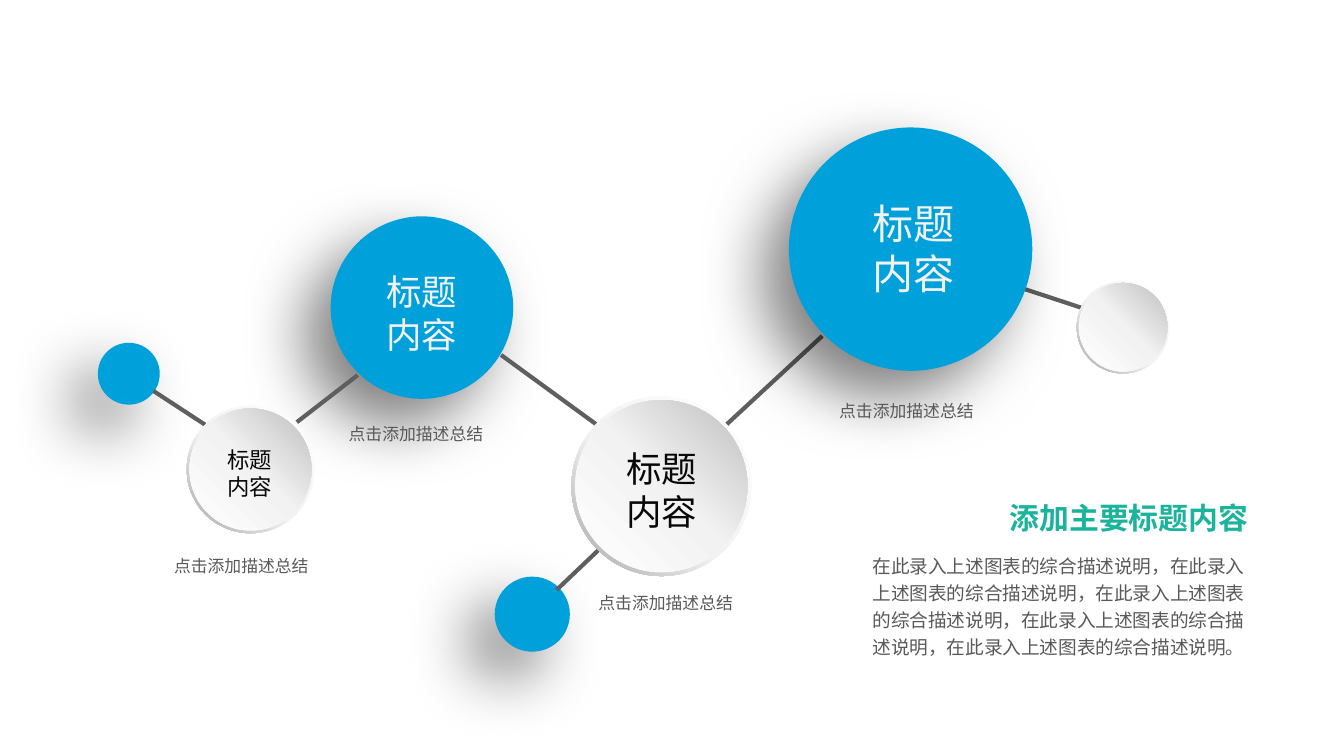
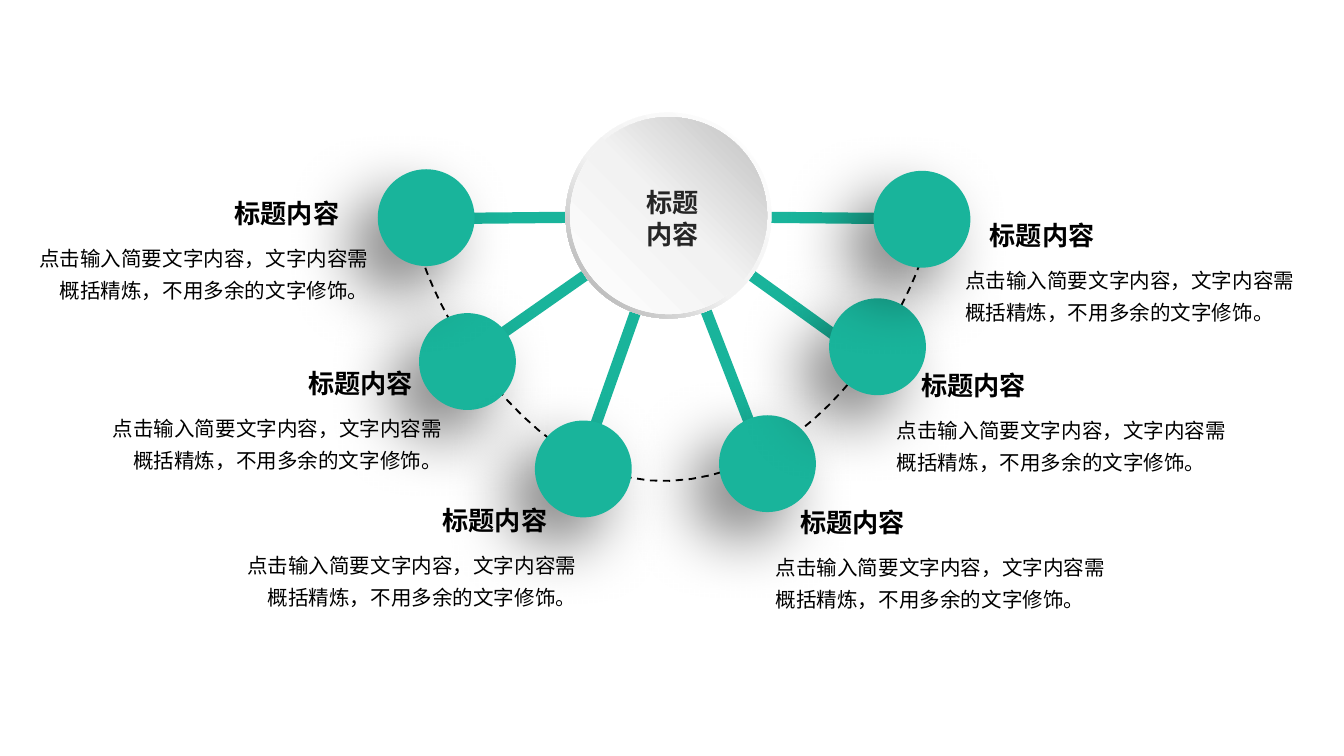
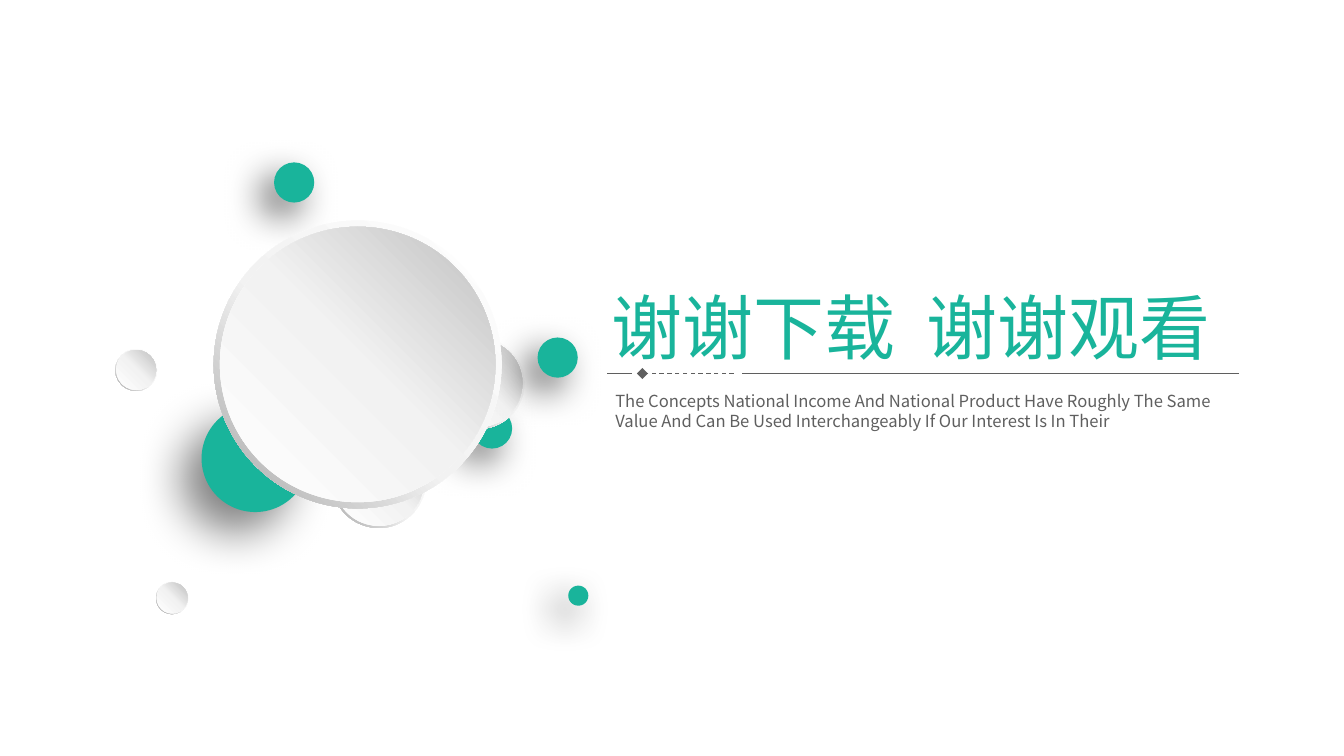
from copy import deepcopy

from lxml.etree import SubElement
from pptx import Presentation
from pptx.dml.color import RGBColor
from pptx.enum.dml import MSO_LINE_DASH_STYLE as DASH
from pptx.enum.shapes import MSO_CONNECTOR as CONNECTOR, MSO_SHAPE as SHAPE
from pptx.enum.text import MSO_ANCHOR as ANCHOR, MSO_AUTO_SIZE as AUTO_SIZE, PP_ALIGN as ALIGN
from pptx.oxml.ns import qn
from pptx.util import Cm, Pt

BLUE = RGBColor(0x00, 0xA1, 0xDA)
TEAL = RGBColor(0x19, 0xB4, 0x9B)
GRAY = RGBColor(0x5F, 0x5F, 0x5F)
BODY_GRAY = RGBColor(0x59, 0x59, 0x59)
DARK = RGBColor(0x26, 0x26, 0x26)
INK = RGBColor(0x08, 0x08, 0x08)
BLACK = RGBColor(0x00, 0x00, 0x00)
WHITE = RGBColor(0xFF, 0xFF, 0xFF)
PALE = RGBColor(0xF2, 0xF2, 0xF2)
SILVER = RGBColor(0xBF, 0xBF, 0xBF)
STEEL = RGBColor(0xA6, 0xA6, 0xA6)
FONT = "Noto Sans CJK SC"
DEEP_SHADOW = (50, 35, 20)
MEDIUM_SHADOW = (50, 25, 15)
LIGHT_SHADOW = (60, 20, 10)
RIM = 0.049


def add_text(slide, text, left, top, width, height, size, color, bold=False,
             align=ALIGN.LEFT, spacing=None, insets=(0.25, 0.13), wrap=True, box=None):
    if box is None:
        box = slide.shapes.add_textbox(0, 0, 0, 0)
    box.left, box.top, box.width, box.height = Cm(left), Cm(top), Cm(width), Cm(height)
    frame = box.text_frame
    frame.word_wrap = wrap
    frame.auto_size = AUTO_SIZE.SHAPE_TO_FIT_TEXT
    frame.vertical_anchor = ANCHOR.TOP
    frame.margin_left = frame.margin_right = Cm(insets[0])
    frame.margin_top = frame.margin_bottom = Cm(insets[1])
    frame.text = text
    for paragraph in frame.paragraphs:
        paragraph.alignment = align
        paragraph.line_spacing = spacing
        for run in paragraph.runs:
            run.font.size = Pt(size)
            run.font.bold = bold
            run.font.color.rgb = color
            run.font.name = FONT
            SubElement(run._r.get_or_add_rPr(), qn("a:ea")).set("typeface", FONT)


def add_disc(slide, left, top, size, color=None, shadow=None):
    if color is not None:
        disc = slide.shapes.add_shape(SHAPE.OVAL, Cm(left), Cm(top), Cm(size), Cm(size))
        disc.fill.solid()
        disc.fill.fore_color.rgb = color
        disc.line.fill.background()
        disc.shadow.inherit = False
        opacity, blur, distance = shadow
        effects = disc._element.spPr.find(qn("a:effectLst"))
        outer = SubElement(effects, qn("a:outerShdw"), blurRad=str(Pt(blur)),
                           dist=str(Pt(distance)), dir=str(135 * 60000), rotWithShape="0")
        shade = SubElement(outer, qn("a:srgbClr"), val="000000")
        SubElement(shade, qn("a:alpha"), val=str(opacity * 1000))
        return
    inset = size * 0.0215
    for preset, margin, angle, middle, end in (
        (SHAPE.DONUT, 0, 225, 0.55, STEEL),
        (SHAPE.OVAL, inset, 45, 0.51, SILVER),
    ):
        side = Cm(size - 2 * margin)
        layer = slide.shapes.add_shape(preset, Cm(left + margin), Cm(top + margin), side, side)
        if preset == SHAPE.DONUT:
            layer.adjustments[0] = RIM
        layer.line.fill.background()
        layer.shadow.inherit = False
        layer.fill.gradient()
        layer.fill.gradient_angle = angle
        stops = layer._element.spPr.find(".//" + qn("a:gsLst"))
        stops.append(deepcopy(stops[0]))
        for stop, position, tone in zip(layer.fill.gradient_stops, (0, middle, 1), (WHITE, PALE, end)):
            stop.position = position
            stop.color.rgb = tone


presentation = Presentation()
presentation.slide_width = Cm(25.4)
presentation.slide_height = Cm(14.29)
title_only, blank = presentation.slide_layouts[5], presentation.slide_layouts[6]
chain_slide = presentation.slides.add_slide(title_only)
fan_slide = presentation.slides.add_slide(blank)
closing_slide = presentation.slides.add_slide(title_only)

ARC_START = (8, 4.11)
ARC_CURVES = [
    ((8.74, 4.14), (16.71, 4.01), (17.53, 4.24)),
    ((17.68, 4.85), (15.88, 8.97), (12.67, 9.09)),
    ((9.47, 9.25), (7.29, 4.09), ARC_START),
]
STEPS = 24
arc_points = []
start = ARC_START
for first, second, end in ARC_CURVES:
    for step in range(1, STEPS + 1):
        t = step / STEPS
        weights = ((1 - t) ** 3, 3 * t * (1 - t) ** 2, 3 * t * t * (1 - t), t ** 3)
        corners = (start, first, second, end)
        arc_points.append(tuple(
            Cm(sum(weight * corner[axis] for weight, corner in zip(weights, corners)))
            for axis in (0, 1)
        ))
    start = end
builder = fan_slide.shapes.build_freeform(Cm(ARC_START[0]), Cm(ARC_START[1]))
builder.add_line_segments(arc_points, close=True)
arc = builder.convert_to_shape()
arc.fill.background()
arc.line.color.rgb = BLACK
arc.line.width = Pt(1)
arc.line.dash_style = DASH.DASH
arc.shadow.inherit = False

HUB = (12.65, 4.09)
SPOKE_ENDS = [(7.34, 4.14), (8.48, 7.01), (10.9, 9.04), (14.5, 8.86), (16.71, 7.01), (17.81, 4.14)]
RULE_Y = 7.06
back_links = [((19.2, 5.41), (20.75, 5.92)), ((13.67, 8.08), (15.54, 6.35))]
front_links = [
    ((5.61, 7.98), (6.76, 7.09)),
    ((9.47, 6.71), (11.35, 8.08)),
    ((2.9, 7.39), (3.91, 8.05)),
    ((10.52, 11.15), (11.35, 10.36)),
]
spokes = [(HUB, spoke_end) for spoke_end in SPOKE_ENDS]
rules = [((x1, RULE_Y), (x2, RULE_Y)) for x1, x2 in ((23.42, 14.02), (13.87, 12.14), (11.94, 11.48))]
chain_discs = [
    (14.91, 2.41, 4.6, BLUE, DEEP_SHADOW),
    (9.35, 10.9, 1.42, BLUE, DEEP_SHADOW),
    (6.25, 4.09, 3.45, BLUE, DEEP_SHADOW),
    (1.85, 6.48, 1.17, BLUE, DEEP_SHADOW),
]
chain_buttons = [(20.35, 5.31, 1.75), (10.8, 7.49, 3.4), (3.53, 7.67, 2.41)]
fan_discs = [
    (left, top, 1.83, TEAL, DEEP_SHADOW)
    for left, top in ((7.92, 5.92), (10.11, 7.95), (13.59, 7.85), (15.67, 5.64), (16.51, 3.23), (7.14, 3.2))
] + [(10.69, 2.13, 3.89)]
closing_discs = [
    (3.81, 7.65, 2.03, TEAL, MEDIUM_SHADOW),
    (8.92, 7.72, 0.76, TEAL, LIGHT_SHADOW),
    (8.18, 6.38, 1.73),
    (2.95, 11, 0.61),
    (2.18, 6.6, 0.79),
    (10.16, 6.38, 0.76, TEAL, LIGHT_SHADOW),
    (10.74, 11.07, 0.38, TEAL, LIGHT_SHADOW),
    (6.27, 8.2, 1.78),
    (5.18, 3.07, 0.76, TEAL, LIGHT_SHADOW),
    (4.04, 4.17, 5.44),
]

for slide, links, color, width, discs in (
    (chain_slide, back_links, GRAY, 2.25, chain_discs),
    (chain_slide, front_links, GRAY, 2.25, chain_buttons),
    (fan_slide, spokes, TEAL, 6, fan_discs),
    (closing_slide, rules, GRAY, 0.6, closing_discs),
):
    for (x1, y1), (x2, y2) in links:
        link = slide.shapes.add_connector(CONNECTOR.STRAIGHT, Cm(x1), Cm(y1), Cm(x2), Cm(y2))
        link.line.color.rgb = color
        link.line.width = Pt(width)
        if links is rules and (x1, y1) == rules[1][0]:
            link.line.dash_style = DASH.DASH
            SubElement(link.line._get_or_add_ln(), qn("a:tailEnd"), type="diamond")
        SubElement(link._element.spPr, qn("a:effectLst"))
    for disc in discs:
        add_disc(slide, *disc)

for left, top, width, height, size, color in (
    (16.23, 3.63, 2.08, 2.13, 22, PALE),
    (11.58, 8.33, 1.85, 1.88, 19, INK),
    (7.04, 4.98, 1.85, 1.88, 19, PALE),
    (4.04, 8.31, 1.37, 1.27, 12, INK),
):
    add_text(chain_slide, "标题\n内容", left, top, width, height, size, color,
             align=ALIGN.CENTER, wrap=False)
for left, top in ((2.67, 10.31), (5.97, 7.82), (10.69, 11), (15.24, 7.37)):
    add_text(chain_slide, "点击添加描述总结", left, top, 3.78, 0.71, 9, BODY_GRAY,
             align=ALIGN.CENTER, spacing=Pt(13.6), insets=(0.2, 0.1))
add_text(chain_slide, "添加主要标题内容", 17.37, 9.32, 6.45, 0.91, 16, TEAL, bold=True,
         align=ALIGN.RIGHT, insets=(0.23, 0.13), box=chain_slide.shapes.title)
summary = "，".join(["在此录入上述图表的综合描述说明"] * 5) + "。"
add_text(chain_slide, summary, 16.31, 10.31, 7.62, 2.24, 10, BODY_GRAY,
         spacing=1.2, insets=(0.18, 0.1))

for align, body_shift, headings in (
    (ALIGN.RIGHT, -4.06, ((4.17, 3.61), (5.56, 6.81), (8.1, 9.4))),
    (ALIGN.LEFT, -0.45, ((14.86, 9.45), (17.15, 6.86), (18.44, 4.01))),
):
    for left, top in headings:
        add_text(fan_slide, "标题内容", left, top, 2.51, 0.86, 14, BLACK, bold=True,
                 align=ALIGN.CENTER, wrap=False)
        add_text(fan_slide, "点击输入简要文字内容，文字内容需概括精炼，不用多余的文字修饰。",
                 left + body_shift, top + 0.78, 7.11, 1.47, 11, BLACK, align=align, spacing=1.3)
add_text(fan_slide, "标题\n内容", 11.96, 3.4, 1.5, 1.45, 14, DARK, bold=True,
         align=ALIGN.CENTER, wrap=False)

add_text(closing_slide, "谢谢下载  谢谢观看", 11.3, 5.23, 12.83, 1.88, 38, TEAL,
         box=closing_slide.shapes.title)
add_text(closing_slide,
         "The Concepts National Income And National Product Have Roughly The Same "
         "Value And Can Be Used Interchangeably If Our Interest Is In Their",
         11.43, 7.29, 12.27, 0.97, 8.9, GRAY, insets=(0.2, 0.1))

presentation.save("out.pptx")
